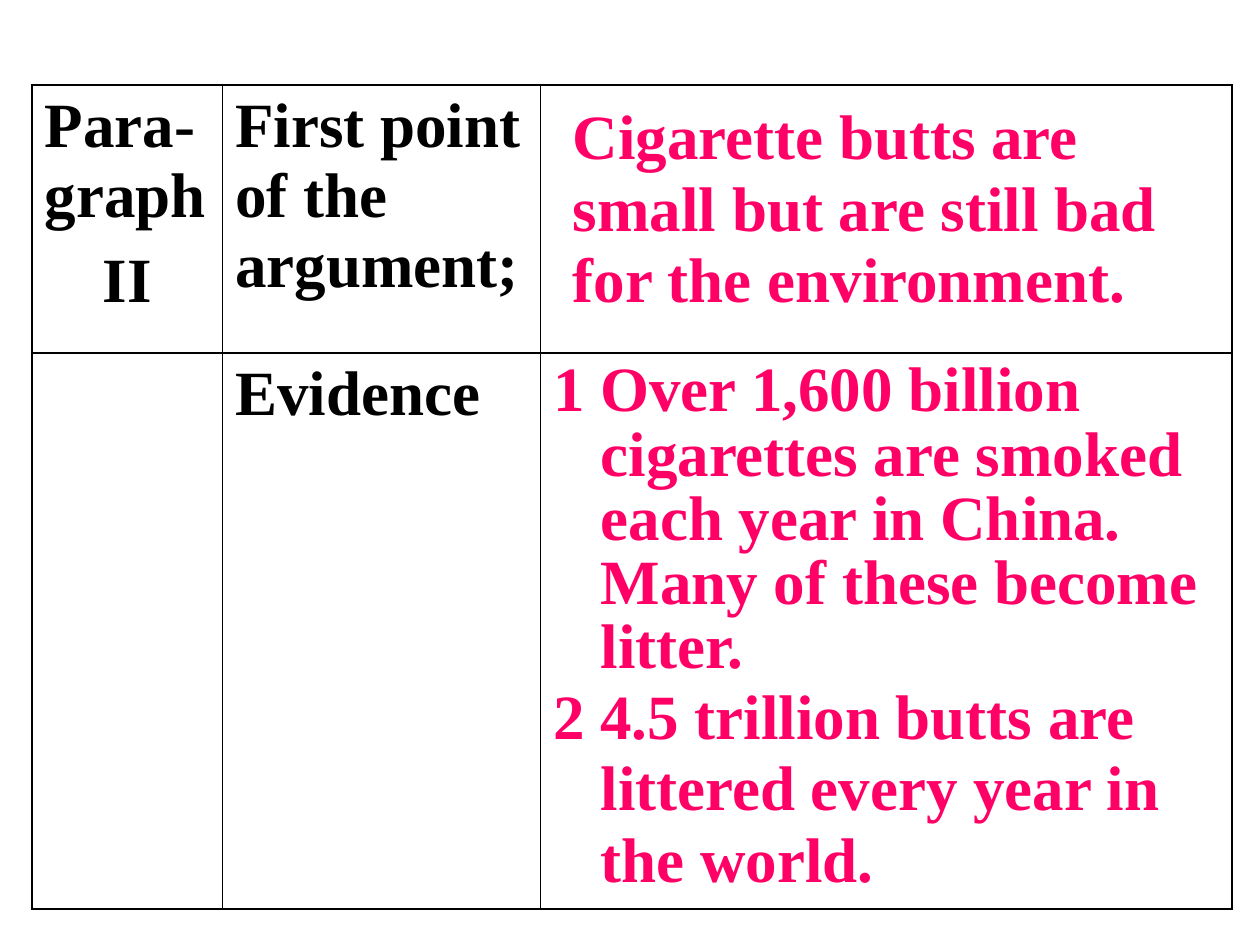
"""Build a slide that outlines the second paragraph of an argument in a table."""
from lxml import etree
from pptx import Presentation
from pptx import util as u
from pptx.dml.color import RGBColor
from pptx.enum import text
from pptx.oxml import ns

BLACK = RGBColor(0, 0, 0)
PINK = RGBColor(0xFF, 0, 0x66)
FONT = "Times New Roman"
OUTER, INNER = u.Pt(1.08), u.Pt(0.45)
COLUMNS = [u.Cm(3.84), u.Cm(6.4), u.Cm(13.95)]
ROWS = [u.Cm(5.4), u.Cm(11.2)]
LABELS = [
    [["Para-graph", "II"], ["First point of the argument;"], []],
    [[], ["Evidence"], []],
]


def add_span(para, words, color):
    span = para.add_run()
    span.text = words
    span.font.name = FONT
    span.font.size = u.Pt(36)
    span.font.bold = True
    span.font.color.rgb = color


def next_para(frame, index):
    return frame.add_paragraph() if index else frame.paragraphs[0]


def set_borders(cell, widths):
    properties = cell._tc.get_or_add_tcPr()
    for side, width in widths.items():
        line = etree.SubElement(properties, ns.qn(f"a:ln{side}"), w=str(int(width)))
        fill = etree.SubElement(line, ns.qn("a:solidFill"))
        etree.SubElement(fill, ns.qn("a:srgbClr"), val=str(BLACK))


def fill_cell(cell, lines):
    for index, words in enumerate(lines):
        para = next_para(cell.text_frame, index)
        if index:
            para.space_before = u.Pt(9)
            para.alignment = text.PP_ALIGN.CENTER
        add_span(para, words, BLACK)


def add_outline(page):
    frame = page.shapes.add_table(len(ROWS), len(COLUMNS), u.Cm(0.65), u.Cm(1.72),
                                  sum(COLUMNS), sum(ROWS))
    table = frame.table
    table.first_row = table.horz_banding = False
    for column, width in zip(table.columns, COLUMNS):
        column.width = width
    for row, height in zip(table.rows, ROWS):
        row.height = height
    last = len(COLUMNS) - 1
    for r, labels in enumerate(LABELS):
        for c, lines in enumerate(labels):
            cell = table.cell(r, c)
            set_borders(cell, {"L": INNER if c else OUTER,
                               "R": INNER if c < last else OUTER,
                               "T": OUTER, "B": OUTER})
            cell.fill.background()
            fill_cell(cell, lines)


def add_answer(page, left, top, width, height, lines, hanging=0):
    box = page.shapes.add_textbox(left, top, width, height)
    frame = box.text_frame
    frame.word_wrap = True
    for index, (words, spacing) in enumerate(lines):
        para = next_para(frame, index)
        para.line_spacing = spacing
        if hanging:
            properties = para._p.get_or_add_pPr()
            properties.set("marL", str(int(hanging)))
            properties.set("indent", str(-int(hanging)))
        add_span(para, words, PINK)


def main():
    deck = Presentation()
    deck.slide_width, deck.slide_height = u.Cm(25.4), u.Cm(19.05)
    page = deck.slides.add_slide(deck.slide_layouts[6])
    add_outline(page)
    add_answer(page, u.Cm(11.3), u.Cm(1.93), u.Cm(13.41), u.Cm(4.6), [
        ("Cigarette butts are small but are still bad for the environment.", 0.95),
    ])
    add_answer(page, u.Cm(10.9), u.Cm(7.14), u.Cm(13.59), u.Cm(11.07), [
        ("1 Over 1,600 billion cigarettes are smoked each year in China. "
         "Many of these become litter.", 0.85),
        ("2 4.5 trillion butts are littered every year in the world.", 0.95),
    ], hanging=u.Cm(0.96))
    deck.save("out.pptx")


if __name__ == "__main__":
    main()
